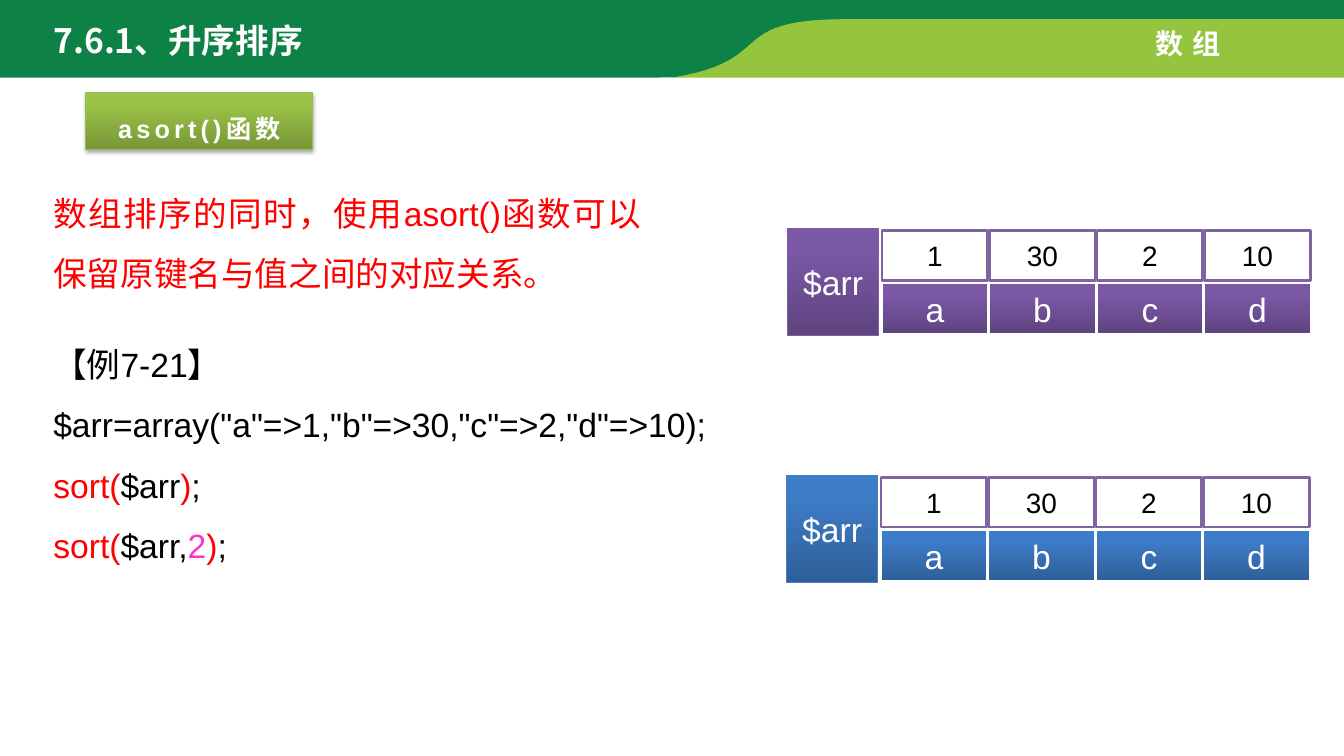
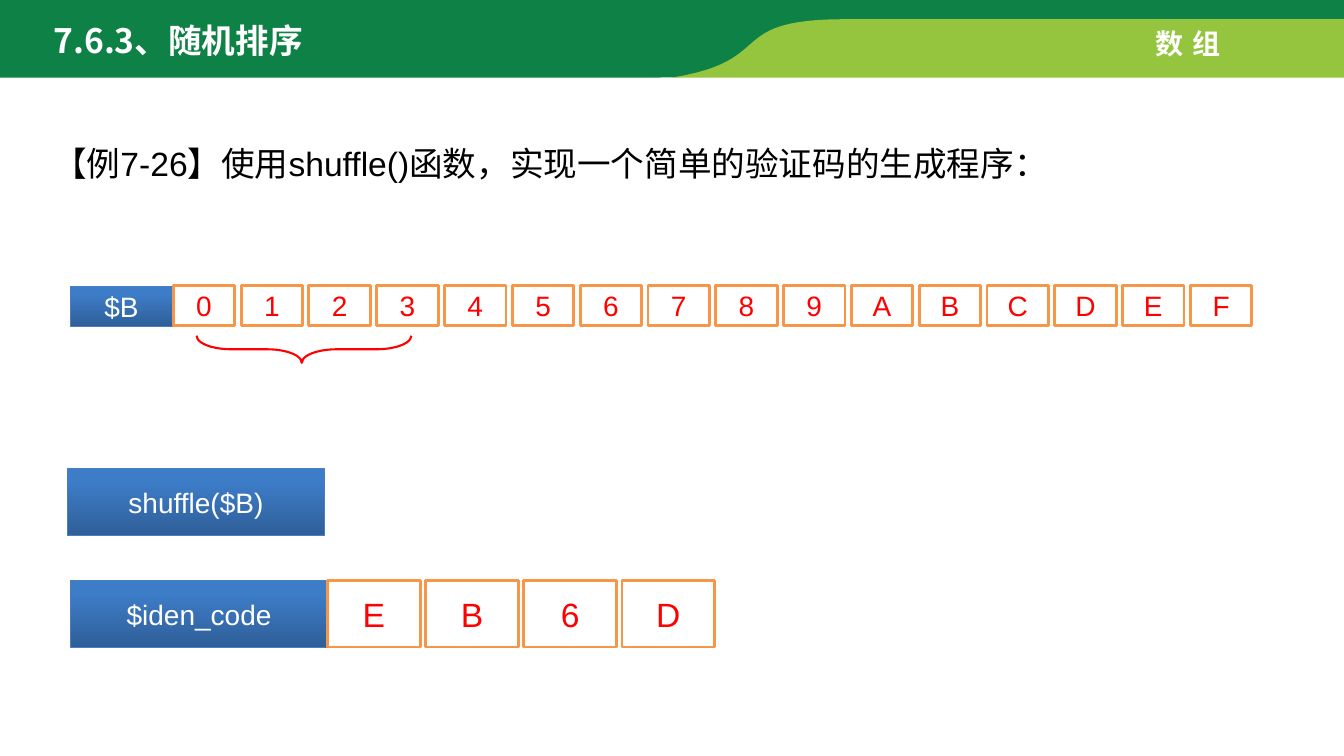
"""Build two lesson slides on sorting and shuffling PHP arrays."""
from lxml import etree
from pptx import Presentation
from pptx.dml.color import RGBColor
from pptx.enum import shapes, text
from pptx.oxml import ns
from pptx.util import Pt

WHITE = RGBColor(0xFF, 0xFF, 0xFF)
BLACK = RGBColor(0x00, 0x00, 0x00)
RED = RGBColor(0xFF, 0x00, 0x00)
PINK = RGBColor(0xFF, 0x33, 0xCC)
GREEN = RGBColor(0x0E, 0x81, 0x46)
LIME = RGBColor(0x95, 0xC5, 0x3E)
LIME_EDGE = RGBColor(0x98, 0xB9, 0x55)
PURPLE_EDGE = RGBColor(0x7D, 0x60, 0xA0)
PURPLE_LINE = RGBColor(0x80, 0x64, 0xA2)
BLUE_EDGE = RGBColor(0x4B, 0x7E, 0xBC)
ORANGE = RGBColor(0xF7, 0x96, 0x46)
LIME_SHADE = (RGBColor(0x77, 0x97, 0x37), RGBColor(0x9B, 0xC3, 0x48))
PURPLE_SHADE = (RGBColor(0x5F, 0x44, 0x80), RGBColor(0x7B, 0x58, 0xA6))
BLUE_SHADE = (RGBColor(0x2F, 0x5F, 0x99), RGBColor(0x3D, 0x7C, 0xC7))
CJK_FONT = "Noto Sans CJK SC"

BANDS = [
    (GREEN, [(0, -2.2), (960, -2.2), (960, 17.3), (595.4, 17.3), (582.5, 20.2),
             (523.4, 31.7, 554.4, 55.4, 471.6, 55.4), (0, 55.4)]),
    (LIME, [(604, 13.7), (960, 13.7), (960, 55.4), (480.2, 55.4),
            (556.6, 43.2, 516.2, 13.7, 604, 13.7)]),
]
TITLES = ["7.6.1、升序排序", "7.6.3、随机排序"]
CURVE_STEPS = 24


def add_span(para, words, size, color, font="Arial", bold=False, spacing=0):
    span = para.add_run()
    span.text = words
    span.font.size = Pt(size)
    span.font.bold = bold
    span.font.color.rgb = color
    span.font.name = font
    properties = span.font._element
    etree.SubElement(properties, ns.qn("a:ea"), typeface=CJK_FONT)
    if spacing:
        properties.set("spc", str(spacing * 100))


def add_box(page, frame, label, size, color, fill, edge, edge_width=0.75, **style):
    box = page.shapes.add_shape(shapes.MSO_SHAPE.RECTANGLE, *map(Pt, frame))
    box.shadow.inherit = False
    if isinstance(fill, RGBColor):
        box.fill.solid()
        box.fill.fore_color.rgb = fill
    else:
        box.fill.gradient()
        box.fill.gradient_angle = 90
        for stop, shade, position in zip(box.fill.gradient_stops, fill, (0, 0.8)):
            stop.color.rgb = shade
            stop.position = position
    box.line.color.rgb = edge
    box.line.width = Pt(edge_width)
    box.text_frame.word_wrap = True
    box.text_frame.vertical_anchor = text.MSO_ANCHOR.MIDDLE
    para = box.text_frame.paragraphs[0]
    para.alignment = text.PP_ALIGN.CENTER
    add_span(para, label, size, color, **style)
    return box


deck = Presentation()
deck.slide_width, deck.slide_height = Pt(960), Pt(540)

for title_words in TITLES:
    page = deck.slides.add_slide(deck.slide_layouts[5])
    for position, (color, points) in enumerate(BANDS, start=2):
        x, y = points[0]
        outline = page.shapes.build_freeform(Pt(x), Pt(y))
        for point in points[1:]:
            corners = [point]
            if len(point) == 6:
                x1, y1, x2, y2, x3, y3 = point
                corners = []
                for step in range(1, CURVE_STEPS + 1):
                    t = step / CURVE_STEPS
                    weights = ((1 - t) ** 3, 3 * t * (1 - t) ** 2, 3 * t * t * (1 - t), t ** 3)
                    corners.append((sum(w * v for w, v in zip(weights, (x, x1, x2, x3))),
                                    sum(w * v for w, v in zip(weights, (y, y1, y2, y3)))))
            outline.add_line_segments([(Pt(a), Pt(b)) for a, b in corners], close=False)
            x, y = corners[-1]
        outline.add_line_segments([tuple(map(Pt, points[0]))], close=True)
        band = outline.convert_to_shape()
        band.shadow.inherit = False
        band.fill.solid()
        band.fill.fore_color.rgb = color
        band.line.fill.background()
        page.shapes.element.insert(position, band.element)

    title = page.shapes.title
    title.left, title.top, title.width, title.height = map(Pt, (31, 10.8, 340, 36))
    title.text_frame.auto_size = text.MSO_AUTO_SIZE.NONE
    title.text_frame.vertical_anchor = text.MSO_ANCHOR.MIDDLE
    para = title.text_frame.paragraphs[0]
    para.alignment = text.PP_ALIGN.LEFT
    add_span(para, title_words, 24, WHITE, font=CJK_FONT, bold=True)

    chapter = page.shapes.add_textbox(*map(Pt, (818.6, 15.1, 67, 31.7)))
    chapter.text_frame.word_wrap = False
    add_span(chapter.text_frame.paragraphs[0], "数组", 20, WHITE, bold=True, spacing=6)

sort_page, shuffle_page = deck.slides

BODY_TEXTS = [
    (sort_page, (31, 119.5, 434, 94.3),
     [[("数组排序的同时，使用asort()函数可以保留原键名与值之间的对应关系。", RED)]]),
    (sort_page, (31, 227.5, 494, 181.4), [
        [("【例7-21】", BLACK)],
        [('$arr=array("a"=>1,"b"=>30,"c"=>2,"d"=>10);', BLACK)],
        [("sort(", RED), ("$arr", BLACK), (")", RED), (";", BLACK)],
        [("sort(", RED), ("$arr,", BLACK), ("2", PINK), (")", RED), (";", BLACK)],
    ]),
    (shuffle_page, (31, 84.2, 796.3, 51.1),
     [[("【例7-26】使用shuffle()函数，实现一个简单的验证码的生成程序：", BLACK)]]),
]
for page, frame, lines in BODY_TEXTS:
    body = page.shapes.add_textbox(*map(Pt, frame)).text_frame
    body.word_wrap = True
    for index, line in enumerate(lines):
        para = body.add_paragraph() if index else body.paragraphs[0]
        para.alignment = text.PP_ALIGN.JUSTIFY
        para.line_spacing = 1.5
        for words, color in line:
            add_span(para, words, 24, color)

heading = add_box(sort_page, (61.4, 66.2, 162, 40.3), "asort()函数", 18, WHITE,
                  LIME_SHADE, LIME_EDGE, bold=True, spacing=3)
heading.text_frame.paragraphs[0].line_spacing = 1.5
effects = heading.element.spPr.find(ns.qn("a:effectLst"))
shadow = etree.SubElement(effects, ns.qn("a:outerShdw"), blurRad=str(Pt(3.1)),
                          dist=str(Pt(1.8)), dir="5400000", rotWithShape="0")
shadow_color = etree.SubElement(shadow, ns.qn("a:srgbClr"), val="000000")
etree.SubElement(shadow_color, ns.qn("a:alpha"), val="35000")

for left, top, shade, edge in [(562.3, 163.4, PURPLE_SHADE, PURPLE_EDGE),
                               (561.6, 339.8, BLUE_SHADE, BLUE_EDGE)]:
    add_box(sort_page, (left, top, 65.5, 76.3), "$arr", 24, WHITE, shade, edge)
    for column, (value, key) in enumerate(zip(("1", "30", "2", "10"), "abcd")):
        cell_left = left + 67.7 + 76.8 * column
        add_box(sort_page, (cell_left, top + 1.4, 75.6, 35.3), value, 20, BLACK,
                WHITE, PURPLE_LINE, 2)
        add_box(sort_page, (cell_left, top + 39.4, 75.6, 35.3), key, 24, WHITE,
                shade, WHITE)

for frame, label in [((50.4, 204.5, 72.7, 28.8), "$B"),
                     ((48.2, 334.8, 183.6, 47.5), "shuffle($B)"),
                     ((50.4, 414.7, 183.6, 47.5), "$iden_code")]:
    add_box(shuffle_page, frame, label, 20, WHITE, BLUE_SHADE, BLUE_EDGE)

for letters, left, top, pitch, width, height, size in [
        ("0123456789ABCDEF", 123.8, 203.8, 48.43, 43.9, 28.8, 20),
        ("EB6D", 234, 414.7, 70.1, 66.2, 47.5, 24)]:
    for column, letter in enumerate(letters):
        add_box(shuffle_page, (left + pitch * column, top, width, height), letter,
                size, RED, WHITE, ORANGE, 2)

brace = shuffle_page.shapes.add_shape(shapes.MSO_SHAPE.RIGHT_BRACE,
                                      *map(Pt, (207.4, 172.8, 19.4, 153.4)))
brace.rotation = 90
brace.adjustments[0] = 1.28
brace.adjustments[1] = 0.51
brace.shadow.inherit = False
brace.fill.background()
brace.line.color.rgb = RED
brace.line.width = Pt(1.5)

deck.save("out.pptx")
